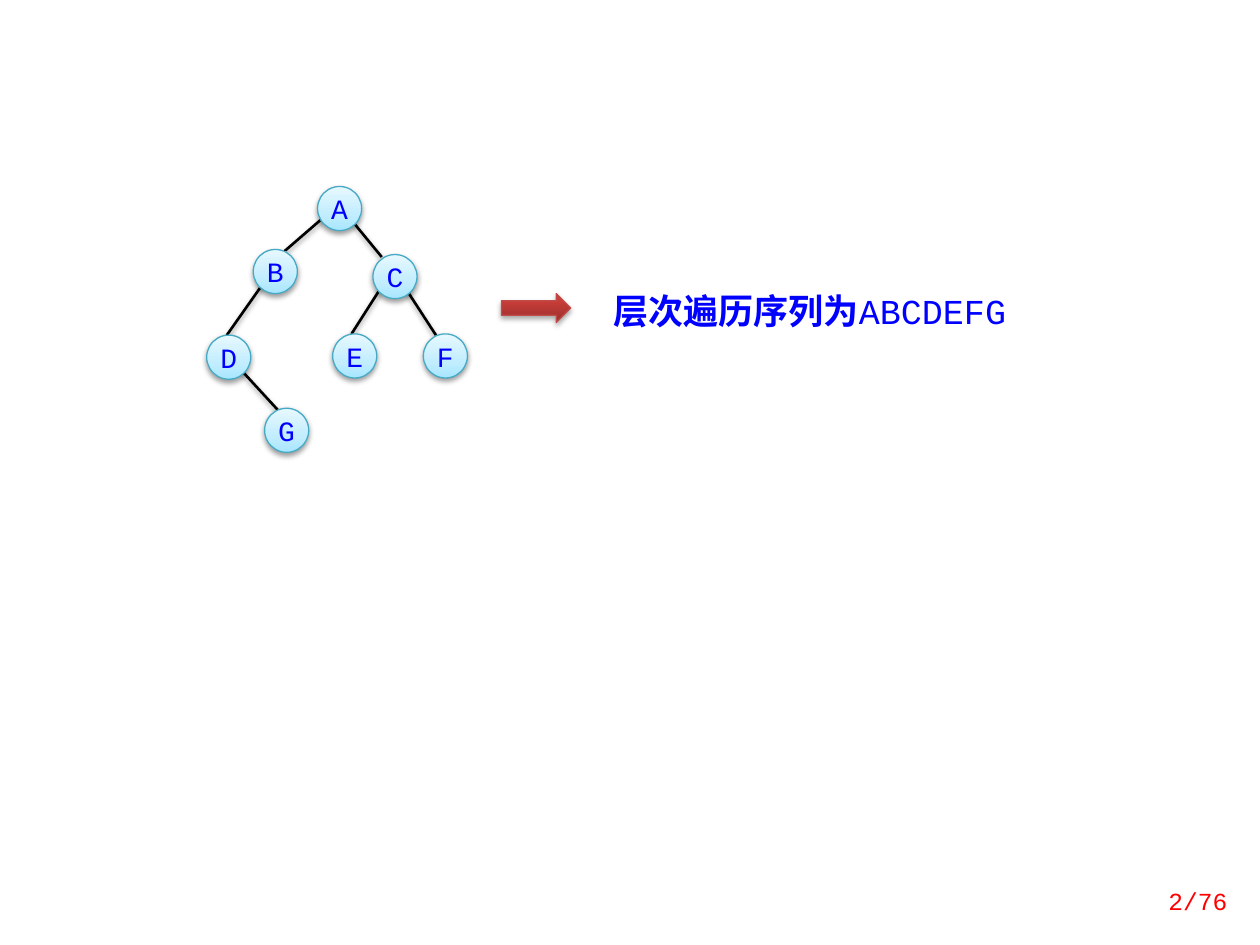
import pptx
import pptx.dml.color
import pptx.enum.shapes
import pptx.enum.text
import pptx.util
from lxml import etree
from pptx.oxml.ns import qn

COLS, ROWS = 100, 75
FONT = "Courier New"
BLUE = "0000FF"
NODE_FILL = [(0, "A7E6FF"), (35, "C1EDFF"), (100, "E7F8FF")]
ARROW_FILL = [(0, "9C2F2D"), (80, "CB3E3A"), (100, "CE3B37")]
NODE_SIZE = 3.5

# Node corners and edge ends, in grid units from the corner of the tree
NODES = {"A": (8.8, 0), "B": (3.7, 5), "C": (13.2, 5.4), "E": (10, 11.7),
         "F": (17.2, 11.7), "D": (0, 11.8), "G": (4.6, 17.6)}
EDGES = {"AC": (11.6, 2.8, 13.9, 5.6), "CE": (13.8, 8.1, 11.5, 11.7),
         "DG": (2.4, 14.2, 5.8, 17.9), "CF": (15.6, 7.8, 18.2, 11.8),
         "BD": (4.7, 7.4, 1.6, 11.8), "AB": (10.5, 1.4, 5.3, 5.9)}

prs = pptx.Presentation()
prs.slide_width = pptx.util.Inches(10)
prs.slide_height = pptx.util.Inches(7.5)


def color(value):
    return pptx.dml.color.RGBColor.from_string(value)


def grid(*values):
    """Turn grid units into slide lengths; the cells are square."""
    return [round(v * prs.slide_width / COLS) for v in values]


def set_line(shape, value, width):
    shape.line.color.rgb = color(value)
    shape.line.width = pptx.util.Pt(width)


def add_shadow(shape, alpha, dist):
    sp_pr = shape._element.spPr
    for old in sp_pr.findall(qn("a:effectLst")):
        sp_pr.remove(old)
    effects = etree.SubElement(sp_pr, qn("a:effectLst"))
    shadow = etree.SubElement(effects, qn("a:outerShdw"), blurRad=str(pptx.util.Pt(3.1)),
                              dist=str(pptx.util.Pt(dist)), dir="5400000", rotWithShape="0")
    black = etree.SubElement(shadow, qn("a:srgbClr"), val="000000")
    etree.SubElement(black, qn("a:alpha"), val=str(alpha * 1000))


def set_gradient(shape, stops):
    """Fill from the bottom up."""
    shape.fill.gradient()
    shape.fill.gradient_angle = 90
    stop_list = shape._element.spPr.find(".//" + qn("a:gsLst"))
    for old in list(stop_list):
        stop_list.remove(old)
    for position, value in stops:
        stop = etree.SubElement(stop_list, qn("a:gs"), pos=str(position * 1000))
        etree.SubElement(stop, qn("a:srgbClr"), val=value)


def add_run(p, text, size, value, bold=False):
    r = p.add_run()
    r.text = text
    r.font.name = FONT
    r.font.size = pptx.util.Pt(size)
    r.font.bold = bold
    r.font.color.rgb = color(value)


def add_tree(s, x, y):
    group = s.shapes.add_group_shape()
    # Edges lie behind the nodes
    for x1, y1, x2, y2 in EDGES.values():
        edge = group.shapes.add_connector(pptx.enum.shapes.MSO_CONNECTOR.STRAIGHT,
                                          *grid(x + x1, y + y1, x + x2, y + y2))
        set_line(edge, "000000", 1.5)
        add_shadow(edge, 38, 1.6)
    for name, (dx, dy) in NODES.items():
        sp = group.shapes.add_shape(pptx.enum.shapes.MSO_SHAPE.OVAL,
                                    *grid(x + dx, y + dy, NODE_SIZE, NODE_SIZE))
        set_gradient(sp, NODE_FILL)
        set_line(sp, "46AAC5", 0.75)
        add_shadow(sp, 38, 1.6)
        tf = sp.text_frame
        tf.margin_left = tf.margin_right = tf.margin_top = tf.margin_bottom = 0
        tf.vertical_anchor = pptx.enum.text.MSO_ANCHOR.MIDDLE
        tf.paragraphs[0].alignment = pptx.enum.text.PP_ALIGN.CENTER
        add_run(tf.paragraphs[0], name, 16, BLUE)


def add_arrow(s, *box):
    sp = s.shapes.add_shape(pptx.enum.shapes.MSO_SHAPE.RIGHT_ARROW, *grid(*box))
    set_gradient(sp, ARROW_FILL)
    set_line(sp, "BF4C48", 0.75)
    add_shadow(sp, 35, 1.8)


def add_result(s, *box):
    tf = s.shapes.add_textbox(*grid(*box)).text_frame
    tf.word_wrap = True
    tf.auto_size = pptx.enum.text.MSO_AUTO_SIZE.SHAPE_TO_FIT_TEXT
    p = tf.paragraphs[0]
    add_run(p, "层次遍历序列为", 20, BLUE, bold=True)
    add_run(p, "ABCDEFG", 20, BLUE)


def add_page_number(s, *box):
    tf = s.shapes.add_textbox(*grid(*box)).text_frame
    tf.word_wrap = True
    tf.vertical_anchor = pptx.enum.text.MSO_ANCHOR.MIDDLE
    p = tf.paragraphs[0]
    p.alignment = pptx.enum.text.PP_ALIGN.RIGHT
    add_run(p, "2/76", 14, "FF0000")


def main():
    s = prs.slides.add_slide(prs.slide_layouts[6])
    add_tree(s, 16.4, 14.8)
    add_result(s, 47.7, 22.5, 34.4, 4.4)
    add_arrow(s, 39.8, 23.3, 5.5, 2.3)
    add_page_number(s, 87.8, ROWS - 5.5, 10.6, 4)
    prs.save("out.pptx")


if __name__ == "__main__":
    main()
